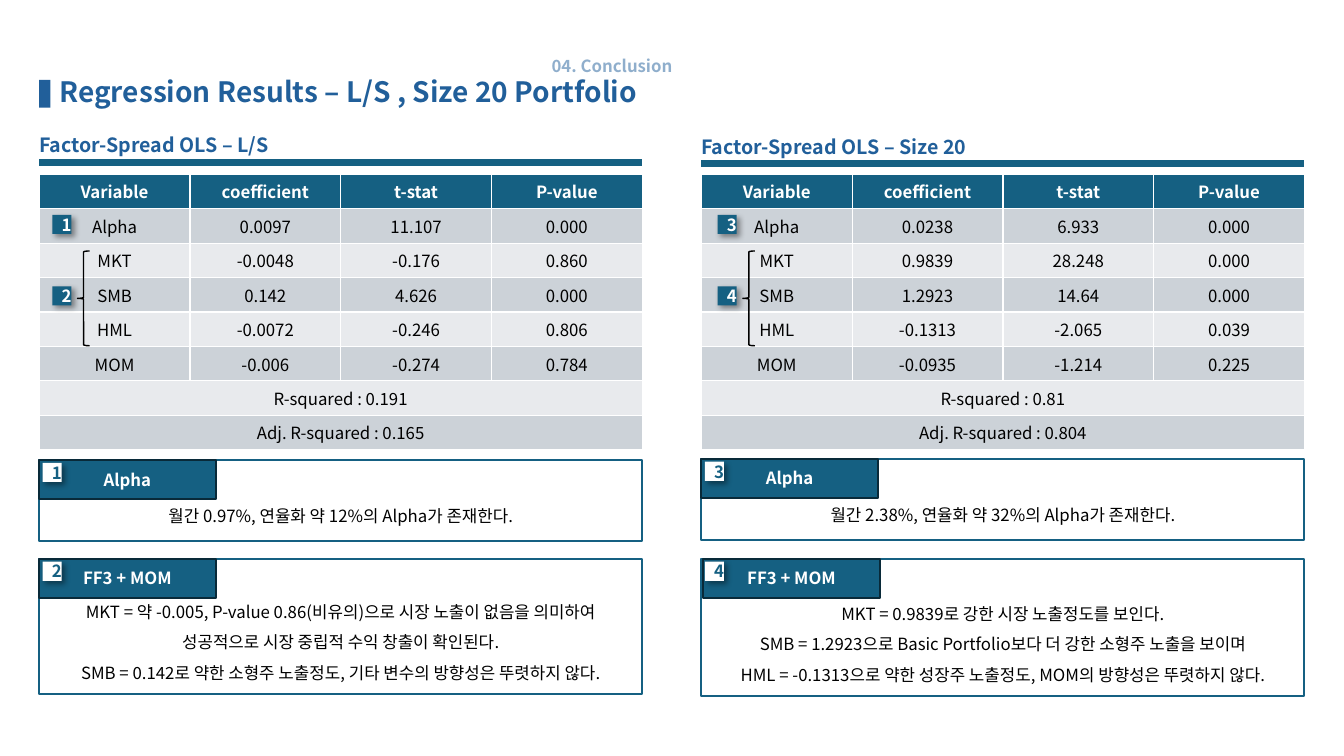
from lxml import etree
from pptx import Presentation
from pptx.dml.color import RGBColor
from pptx.enum import shapes, text
from pptx.oxml import ns
from pptx.util import Pt

FONT = "Noto Sans CJK KR"
BLUE = RGBColor(0x21, 0x5F, 0x9A)
TEAL = RGBColor(0x15, 0x60, 0x82)
DARK_TEAL = RGBColor(0x09, 0x2A, 0x39)
BAND_DARK = RGBColor(0xCC, 0xD2, 0xD8)
BAND_LIGHT = RGBColor(0xE8, 0xEA, 0xED)
BLACK = RGBColor(0, 0, 0)
WHITE = RGBColor(0xFF, 0xFF, 0xFF)

TITLE = "Regression Results – L/S , Size 20 Portfolio"
SECTION = "04. Conclusion"
HEADER = ("Variable", "coefficient", "t-stat", "P-value")

PANELS = [
    {
        "heading": "Factor-Spread OLS – L/S", "left": 28, "heading_top": 91.4, "badge_left": 37.4,
        "rows": [
            ("Alpha", "0.0097", "11.107", "0.000"),
            ("MKT", "-0.0048", "-0.176", "0.860"),
            ("SMB", "0.142", "4.626", "0.000"),
            ("HML", "-0.0072", "-0.246", "0.806"),
            ("MOM", "-0.006", "-0.274", "0.784"),
        ],
        "fit": ("R-squared : 0.191", "Adj. R-squared : 0.165"),
        "cards": [
            {"number": "1", "label": "Alpha", "top": 328.4, "height": 58.3, "tab_shift": 0, "pad": 11,
             "lines": ["월간 0.97%, 연율화 약 12%의 Alpha가 존재한다."]},
            {"number": "2", "label": "FF3 + MOM", "top": 399, "height": 96.5, "tab_shift": 0, "pad": 8,
             "lines": ["MKT = 약 -0.005, P-value 0.86(비유의)으로 시장 노출이 없음을 의미하여 "
                       "성공적으로 시장 중립적 수익 창출이 확인된다.",
                       "SMB = 0.142로 약한 소형주 노출정도, 기타 변수의 방향성은 뚜렷하지 않다."]},
        ],
    },
    {
        "heading": "Factor-Spread OLS – Size 20", "left": 501, "heading_top": 92.2, "badge_left": 512.6,
        "rows": [
            ("Alpha", "0.0238", "6.933", "0.000"),
            ("MKT", "0.9839", "28.248", "0.000"),
            ("SMB", "1.2923", "14.64", "0.000"),
            ("HML", "-0.1313", "-2.065", "0.039"),
            ("MOM", "-0.0935", "-1.214", "0.225"),
        ],
        "fit": ("R-squared : 0.81", "Adj. R-squared : 0.804"),
        "cards": [
            {"number": "3", "label": "Alpha", "top": 327.6, "height": 58.3, "tab_shift": 0, "pad": 11,
             "lines": ["월간 2.38%, 연율화 약 32%의 Alpha가 존재한다."]},
            {"number": "4", "label": "FF3 + MOM", "top": 399, "height": 97.9, "tab_shift": 1.4, "pad": 8,
             "lines": ["MKT = 0.9839로 강한 시장 노출정도를 보인다.",
                       "SMB = 1.2923으로 Basic Portfolio보다 더 강한 소형주 노출을 보이며",
                       "HML = -0.1313으로 약한 성장주 노출정도, MOM의 방향성은 뚜렷하지 않다."]},
        ],
    },
]

PANEL_WIDTH = 430.8
TABLE_TOP = 124.6
ROW_HEIGHT = 24.6
BADGE = 13.7
RECT = shapes.MSO_SHAPE.RECTANGLE
CENTER = text.PP_ALIGN.CENTER
LEFT = text.PP_ALIGN.LEFT


def write(frame, lines, color, size=12, bold=False, align=CENTER, spacing=None):
    for index, line in enumerate(lines):
        paragraph = frame.paragraphs[0] if index == 0 else frame.add_paragraph()
        paragraph.alignment = align
        if spacing:
            paragraph.line_spacing = spacing
        run = paragraph.add_run()
        run.text = line
        run.font.size, run.font.bold, run.font.name = Pt(size), bold, FONT
        run.font.color.rgb = color
        etree.SubElement(run.font._element, ns.qn("a:ea"), typeface=FONT)


def left_insets(frame):
    frame.margin_left, frame.margin_right = 0, Pt(7.2)
    frame.margin_top = frame.margin_bottom = Pt(3.6)


def add_box(left, top, width, height, fill=None, line=None, preset=RECT, weight=1.5):
    box = slide.shapes.add_shape(preset, Pt(left), Pt(top), Pt(width), Pt(height))
    box.shadow.inherit = False
    if fill is None:
        box.fill.background()
    else:
        box.fill.solid()
        box.fill.fore_color.rgb = fill
    if line is None:
        box.line.fill.background()
    else:
        box.line.color.rgb = line
        box.line.width = Pt(weight)
    box.text_frame.vertical_anchor = text.MSO_ANCHOR.MIDDLE
    return box


def add_badge(left, top, number, fill, color):
    badge = add_box(left, top, BADGE, BADGE, fill)
    effects = badge._element.spPr.find(ns.qn("a:effectLst"))
    shadow = etree.SubElement(effects, ns.qn("a:outerShdw"), blurRad=str(Pt(4)),
                              dist=str(Pt(3)), dir="2700000", algn="tl", rotWithShape="0")
    tint = etree.SubElement(shadow, ns.qn("a:srgbClr"), val="000000")
    etree.SubElement(tint, ns.qn("a:alpha"), val="40000")
    write(badge.text_frame, [number], color, bold=True)


def add_heading(panel):
    left, top = panel["left"], panel["heading_top"]
    heading = add_box(left, top, 422.6, 24.5, WHITE)
    left_insets(heading.text_frame)
    write(heading.text_frame, [panel["heading"]], BLUE, 14, True, LEFT)
    rule = slide.shapes.add_connector(shapes.MSO_CONNECTOR.STRAIGHT, Pt(left), Pt(top + 24.5),
                                      Pt(left + PANEL_WIDTH), Pt(top + 24.5))
    rule.line.color.rgb, rule.line.width = TEAL, Pt(5.25)
    etree.SubElement(rule._element.spPr, ns.qn("a:effectLst"))


def add_results(panel):
    rows = [HEADER, *panel["rows"], *[(fit,) for fit in panel["fit"]]]
    results = slide.shapes.add_table(len(rows), len(HEADER), Pt(panel["left"]), Pt(TABLE_TOP),
                                     Pt(PANEL_WIDTH), Pt(ROW_HEIGHT * len(rows))).table
    for r, row in enumerate(rows):
        if len(row) == 1:
            results.cell(r, 0).merge(results.cell(r, len(HEADER) - 1))
        for c, value in enumerate(row):
            cell = results.cell(r, c)
            cell.fill.solid()
            cell.fill.fore_color.rgb = TEAL if r == 0 else BAND_DARK if r % 2 else BAND_LIGHT
            write(cell.text_frame, [value], WHITE if r == 0 else BLACK, bold=r == 0)


def add_card(left, card):
    top = card["top"]
    body = add_box(left, top, PANEL_WIDTH, card["height"], line=TEAL)
    body.text_frame.vertical_anchor = text.MSO_ANCHOR.BOTTOM
    body.text_frame.margin_bottom = Pt(card["pad"])
    write(body.text_frame, card["lines"], BLACK, spacing=1.5)
    tab = add_box(left + card["tab_shift"], top, 126, 28, TEAL, DARK_TEAL)
    write(tab.text_frame, [card["label"]], WHITE, bold=True)
    add_badge(left + 2.4, top + 2.2, card["number"], WHITE, TEAL)


prs = Presentation()
prs.slide_width, prs.slide_height = Pt(960), Pt(540)
slide = prs.slides.add_slide(prs.slide_layouts[5])

title = slide.shapes.title
title.left, title.top, title.width, title.height = Pt(42.5), Pt(49.7), Pt(484), Pt(31.7)
title.text_frame.vertical_anchor = text.MSO_ANCHOR.TOP
left_insets(title.text_frame)
write(title.text_frame, [TITLE], BLUE, 20, True, LEFT)
add_box(28, 57, 8, 20, BLUE)

section = slide.shapes.add_textbox(Pt(394), Pt(36), Pt(110), Pt(21.6)).text_frame
section.word_wrap = True
left_insets(section)
write(section, [SECTION], BLUE, bold=True, align=LEFT)
section_color = section.paragraphs[0].runs[0].font._element.find(".//" + ns.qn("a:srgbClr"))
etree.SubElement(section_color, ns.qn("a:alpha"), val="50000")

for panel in PANELS:
    add_heading(panel)
    add_results(panel)
    badge_left = panel["badge_left"]
    for card, badge_top in zip(panel["cards"], (153.4, 204.5)):
        add_badge(badge_left, badge_top, card["number"], TEAL, WHITE)
        add_card(panel["left"], card)
    add_box(badge_left + 18, 179.3, 8.6, 67.7, line=BLACK,
            preset=shapes.MSO_SHAPE.LEFT_BRACE, weight=1)

prs.save("out.pptx")
